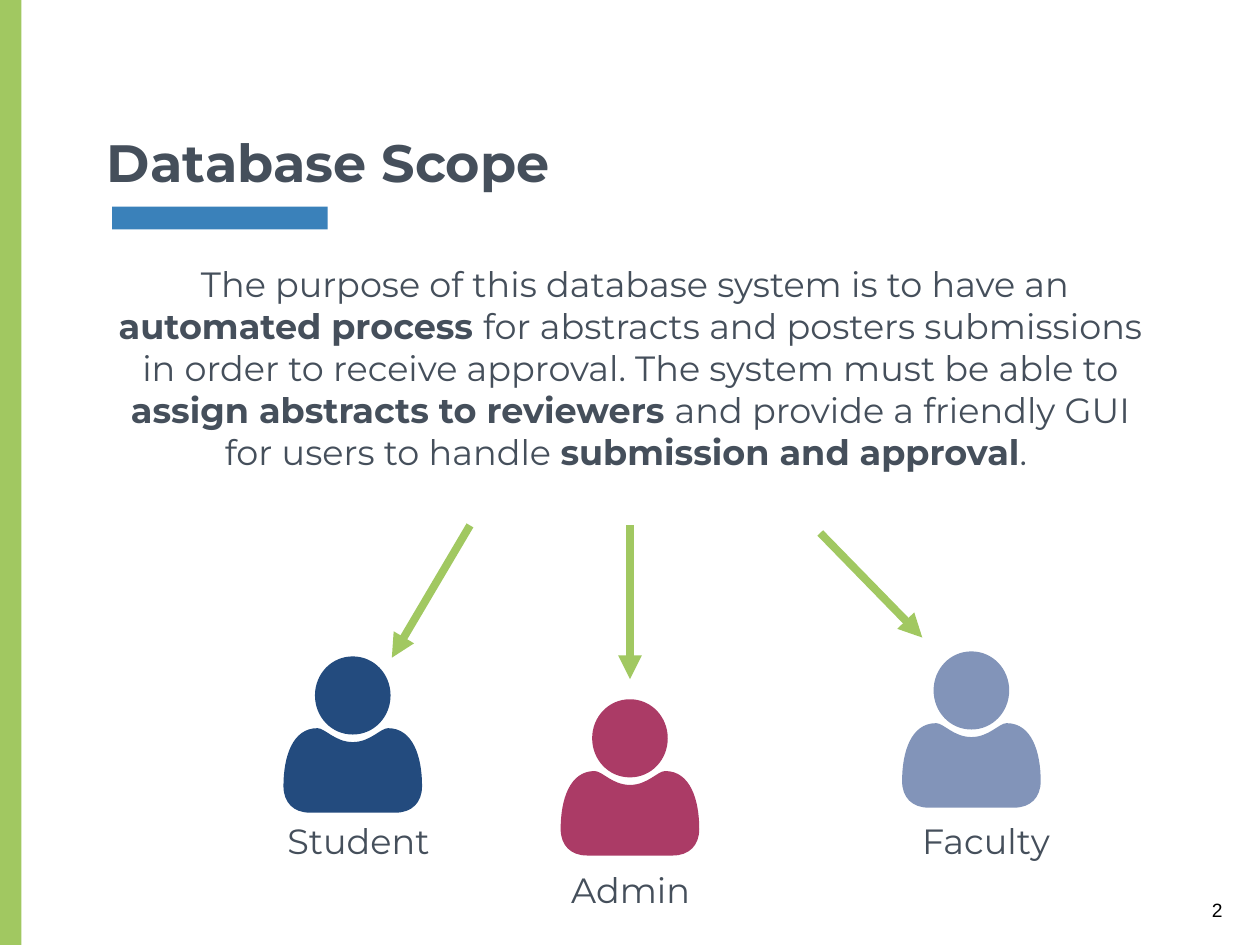
from dataclasses import dataclass

from lxml.etree import SubElement
from pptx import Presentation
from pptx.dml.color import RGBColor
from pptx.enum.shapes import MSO_CONNECTOR, MSO_SHAPE
from pptx.enum.text import MSO_ANCHOR, PP_ALIGN
from pptx.oxml.ns import qn
from pptx.util import Inches, Pt

COLORS = {
    "green": "A1C861",
    "blue": "3A81BA",
    "text": "454F5B",
    "black": "000000",
    "student": "234B7E",
    "admin": "AB3B66",
    "faculty": "8294B9",
}
BODY_FONT = {"name": "Montserrat", "size": Pt(20)}
TITLE_FONT = {"name": "Montserrat", "size": Pt(30), "bold": True}
NUMBER_FONT = {"name": "Arial", "size": Pt(11)}
INSETS = {side: Inches(0.1) for side in
          ("margin_left", "margin_top", "margin_right", "margin_bottom")}

Point = tuple[float, float]
Box = tuple[float, float, float, float]

PERSON_HALF_WIDTH = 0.55
RIGHT_BODY = [
    (0, 0.68), (0.14, 0.68), (0.22, 0.57), (0.28, 0.57),
    (0.48, 0.57), (0.55, 0.8), (0.55, 1.03),
    (0.55, 1.16), (0.47, 1.24), (0.34, 1.24),
]
RIGHT_HEAD = [
    (0, 0), (0.17, 0), (0.3, 0.14), (0.3, 0.31),
    (0.3, 0.48), (0.17, 0.62), (0, 0.62),
]


@dataclass
class Role:
    name: str
    color: str
    center: float
    top: float
    label_left: float
    label_top: float
    arrow_start: Point
    arrow_end: Point


ROLES = [
    Role("Student", "student", 2.8, 5.21, 2.17, 6.4, (3.73, 4.17), (3.11, 5.22)),
    Role("Admin", "admin", 5, 5.55, 4.33, 6.79, (5, 4.17), (5, 5.39)),
    Role("Faculty", "faculty", 7.71, 5.17, 7.15, 6.4, (6.51, 4.23), (7.32, 5.06)),
]

PURPOSE = [
    (" The purpose of this database system is to have an ", False),
    ("automated process ", True),
    ("for abstracts and posters submissions in order to receive approval. "
     "The system must be able to ", False),
    ("assign abstracts to reviewers ", True),
    ("and provide a friendly GUI for users to handle ", False),
    ("submission and approval", True),
    (". ", False),
]


def apply(target, values: dict) -> None:
    for attribute, value in values.items():
        setattr(target, attribute, value)


def rgb(color: str) -> RGBColor:
    return RGBColor.from_string(COLORS[color])


def paint(shape, color: str) -> None:
    shape.shadow.inherit = False
    shape.fill.solid()
    shape.fill.fore_color.rgb = rgb(color)
    shape.line.fill.background()


def add_bar(slide, box: Box, color: str) -> None:
    paint(slide.shapes.add_shape(MSO_SHAPE.RECTANGLE, *map(Inches, box)), color)


def add_text(slide, box: Box, pieces: list[tuple[str, bool]], font: dict,
             color: str = "text", align=PP_ALIGN.CENTER,
             anchor=MSO_ANCHOR.TOP) -> None:
    frame = slide.shapes.add_textbox(*map(Inches, box)).text_frame
    apply(frame, {"word_wrap": True, "vertical_anchor": anchor, **INSETS})
    paragraph = frame.paragraphs[0]
    paragraph.alignment = align
    for words, bold in pieces:
        run = paragraph.add_run()
        run.text = words
        apply(run.font, {"bold": bold, **font})
        run.font.color.rgb = rgb(color)


def mirrored(half: list[Point]) -> list[Point]:
    left = [(-x, y) for x, y in reversed(half)]
    return left + half[1:]


def bend(segment, points: list[Point]) -> None:
    segment.tag = qn("a:cubicBezTo")
    for child in list(segment):
        segment.remove(child)
    for x, y in points:
        SubElement(segment, qn("a:pt"),
                   x=str(Inches(x + PERSON_HALF_WIDTH)), y=str(Inches(y)))


def add_person(slide, role: Role) -> None:
    body = mirrored(RIGHT_BODY)
    head = RIGHT_HEAD + [(-x, y) for x, y in reversed(RIGHT_HEAD[:-1])]
    placed = [[(Inches(role.center + x), Inches(role.top + y)) for x, y in outline[::3]]
              for outline in (body, head)]
    builder = slide.shapes.build_freeform(*placed[0][0])
    builder.add_line_segments(placed[0][1:], close=True)
    builder.move_to(*placed[1][0])
    builder.add_line_segments(placed[1][1:], close=True)
    person = builder.convert_to_shape()

    curves = [outline[start:start + 3] for outline in (body, head)
              for start in range(1, len(outline), 3)]
    segments = list(person._element.iter(qn("a:lnTo")))
    for segment, points in zip(segments, curves):
        bend(segment, points)
    paint(person, role.color)


def add_arrow(slide, start: Point, end: Point) -> None:
    arrow = slide.shapes.add_connector(
        MSO_CONNECTOR.STRAIGHT, *map(Inches, start + end))
    arrow.line.color.rgb = rgb("green")
    arrow.line.width = Pt(4.5)
    SubElement(arrow.line._get_or_add_ln(), qn("a:tailEnd"), type="triangle")
    SubElement(arrow._element.spPr, qn("a:effectLst"))


def main() -> None:
    presentation = Presentation()
    apply(presentation, {"slide_width": Inches(10), "slide_height": Inches(7.5)})
    slide = presentation.slides.add_slide(presentation.slide_layouts[6])

    add_text(slide, (0.76, 1.98, 8.49, 4.83), PURPOSE, BODY_FONT)
    add_text(slide, (9.52, 7.04, 0.48, 0.38), [("2", False)], NUMBER_FONT,
             color="black", align=PP_ALIGN.LEFT)
    add_text(slide, (0.75, 0, 5.96, 1.63), [("Database Scope", True)], TITLE_FONT,
             align=PP_ALIGN.LEFT, anchor=MSO_ANCHOR.BOTTOM)
    add_bar(slide, (0, 0, 0.17, 7.5), "green")
    add_bar(slide, (0.89, 1.64, 1.71, 0.18), "blue")

    for role in ROLES:
        add_person(slide, role)
        add_arrow(slide, role.arrow_start, role.arrow_end)
        add_text(slide, (role.label_left, role.label_top, 1.35, 0.61),
                 [(role.name, False)], BODY_FONT)

    presentation.save("out.pptx")


if __name__ == "__main__":
    main()
